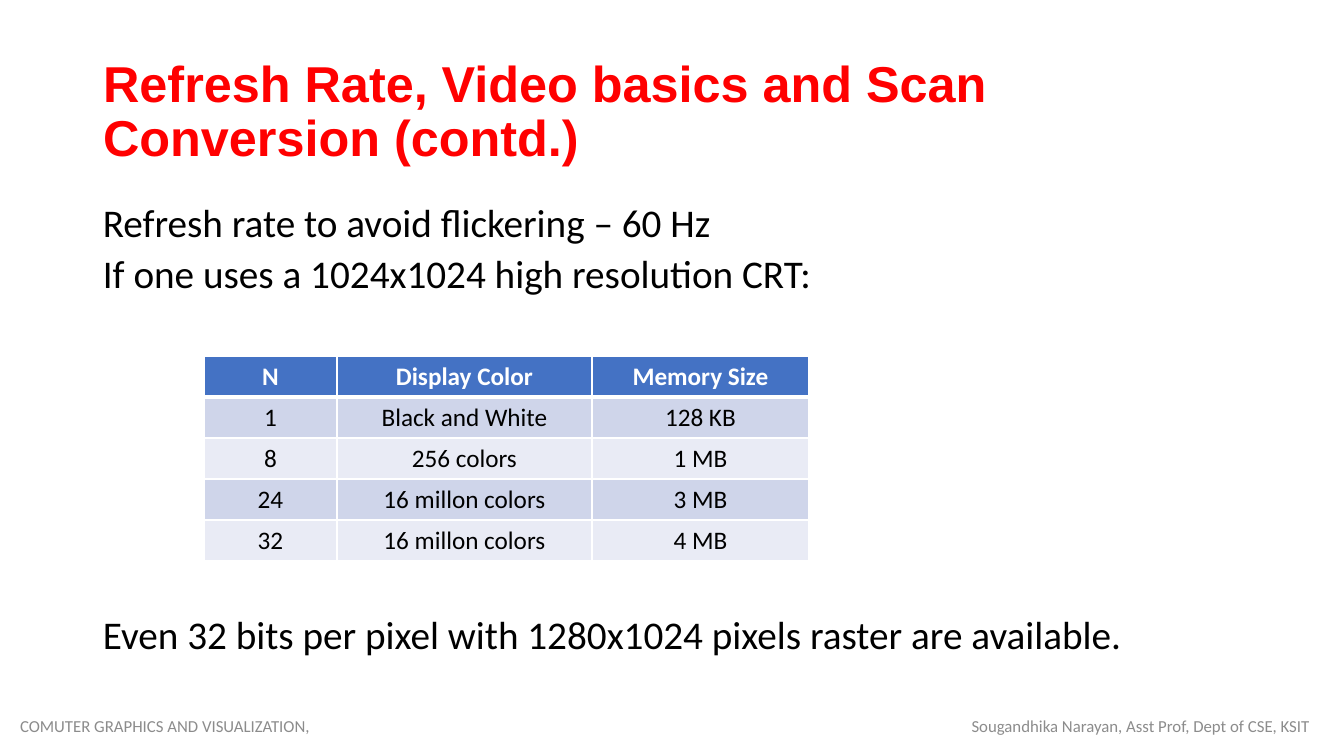
from dataclasses import dataclass

import pptx
import pptx.dml.color
import pptx.enum.text
import pptx.oxml
import pptx.oxml.ns
import pptx.util

ALIGN = pptx.enum.text.PP_ALIGN
ANCHOR = pptx.enum.text.MSO_ANCHOR
SIDES = ("L", "R", "T", "B")


@dataclass(frozen=True)
class Theme:
    """Hold the colours, fonts and type sizes of the slide."""
    title: str = "FF0000"
    ink: str = "000000"
    muted: str = "8C8C8C"
    white: str = "FFFFFF"
    header: str = "4472C4"
    bands: tuple = ("CFD5EA", "E9EBF5")
    title_font: str = "Arial"
    font: str = "Calibri"
    title_size: int = 36
    body_size: int = 28
    table_size: int = 18
    footer_size: int = 12


THEME = Theme()

MEMORY_ROWS = [
    ("N", "Display Color", "Memory Size"),
    ("1", "Black and White", "128 KB"),
    ("8", "256 colors", "1 MB"),
    ("24", "16 millon colors", "3 MB"),
    ("32", "16 millon colors", "4 MB"),
]


def px(n):
    """Turn slide pixels into EMU."""
    return pptx.util.Emu(round(n * 914400 / 100.8))


def rgb(color):
    """Turn a hex string into a colour."""
    return pptx.dml.color.RGBColor.from_string(color)


def write(p, text, *, size, color=THEME.ink, font=THEME.font, bold=False,
          align=ALIGN.LEFT, line=1.0, before=0):
    """Write formatted text into a paragraph."""
    p.alignment = align
    p.line_spacing = line
    p.space_before = pptx.util.Pt(before)
    r = p.add_run()
    r.text = text
    r.font.name = font
    r.font.size = pptx.util.Pt(size)
    r.font.bold = bold
    r.font.color.rgb = rgb(color)


def set_frame(tf, anchor):
    """Set wrapping, fixed size and anchor of a text frame."""
    tf.word_wrap = True
    tf.auto_size = pptx.enum.text.MSO_AUTO_SIZE.NONE
    tf.vertical_anchor = anchor


def add_title(s, text):
    """Place and fill the title placeholder."""
    sp = s.shapes.title
    sp.left, sp.top, sp.width, sp.height = px(93), px(40), px(1159), px(146)
    set_frame(sp.text_frame, ANCHOR.MIDDLE)
    write(sp.text_frame.paragraphs[0], text, size=THEME.title_size,
          color=THEME.title, font=THEME.title_font, bold=True, line=0.9)


def add_body(s, lines):
    """Add body lines, each given with the space before it."""
    tf = s.shapes.add_textbox(px(93), px(202), px(1159), px(480)).text_frame
    set_frame(tf, ANCHOR.TOP)
    for i, (text, before) in enumerate(lines):
        p = tf.add_paragraph() if i else tf.paragraphs[0]
        write(p, text, size=THEME.body_size, line=0.8, before=before)


def set_borders(cell, bottom=1):
    """Give a cell white borders with a chosen bottom width."""
    tcPr = cell._tc.get_or_add_tcPr()
    for i, side in enumerate(SIDES):
        width = pptx.util.Pt(bottom if side == "B" else 1)
        tcPr.insert(i, pptx.oxml.parse_xml(
            f'<a:ln{side} {pptx.oxml.ns.nsdecls("a")} w="{width}"><a:solidFill>'
            f'<a:srgbClr val="{THEME.white}"/></a:solidFill></a:ln{side}>'))


def add_memory_table(s, rows, widths, row_height):
    """Add the banded table of memory sizes."""
    table = s.shapes.add_table(len(rows), len(widths), px(204), px(356),
                               px(sum(widths)), px(row_height * len(rows))).table
    for column, width in zip(table.columns, widths):
        column.width = px(width)
    for i, row in enumerate(rows):
        head = i == 0
        for j, text in enumerate(row):
            cell = table.cell(i, j)
            cell.fill.solid()
            cell.fill.fore_color.rgb = rgb(
                THEME.header if head else THEME.bands[(i - 1) % 2])
            set_borders(cell, bottom=3 if head else 1)
            write(cell.text_frame.paragraphs[0], text, size=THEME.table_size,
                  color=THEME.white if head else THEME.ink, bold=head,
                  align=ALIGN.CENTER)


def add_footer(s, left, right):
    """Add a footer line with its second part at a right tab."""
    tf = s.shapes.add_textbox(px(8), px(714), px(1326), px(23)).text_frame
    set_frame(tf, ANCHOR.MIDDLE)
    tf.margin_left = px(12)
    tf.margin_right = tf.margin_top = tf.margin_bottom = 0
    p = tf.paragraphs[0]
    write(p, f"{left}\t{right}", size=THEME.footer_size, color=THEME.muted)
    p._p.get_or_add_pPr().append(pptx.oxml.parse_xml(
        f'<a:tabLst {pptx.oxml.ns.nsdecls("a")}>'
        f'<a:tab pos="{px(1290)}" algn="r"/></a:tabLst>'))


def main():
    """Build and save the slide."""
    prs = pptx.Presentation()
    prs.slide_width, prs.slide_height = px(1344), px(756)
    s = prs.slides.add_slide(prs.slide_layouts[5])
    add_title(s, "Refresh Rate, Video basics and Scan Conversion (contd.)")
    add_body(s, [
        ("Refresh rate to avoid flickering – 60 Hz", 10),
        ("If one uses a 1024x1024 high resolution CRT:", 10),
        ("Even 32 bits per pixel with 1280x1024 pixels raster are available.", 231),
    ])
    add_memory_table(s, MEMORY_ROWS, widths=(133, 255, 217), row_height=41)
    add_footer(s, "COMUTER GRAPHICS AND VISUALIZATION,",
               "Sougandhika Narayan, Asst Prof, Dept of CSE, KSIT")
    prs.save("out.pptx")


if __name__ == "__main__":
    main()
